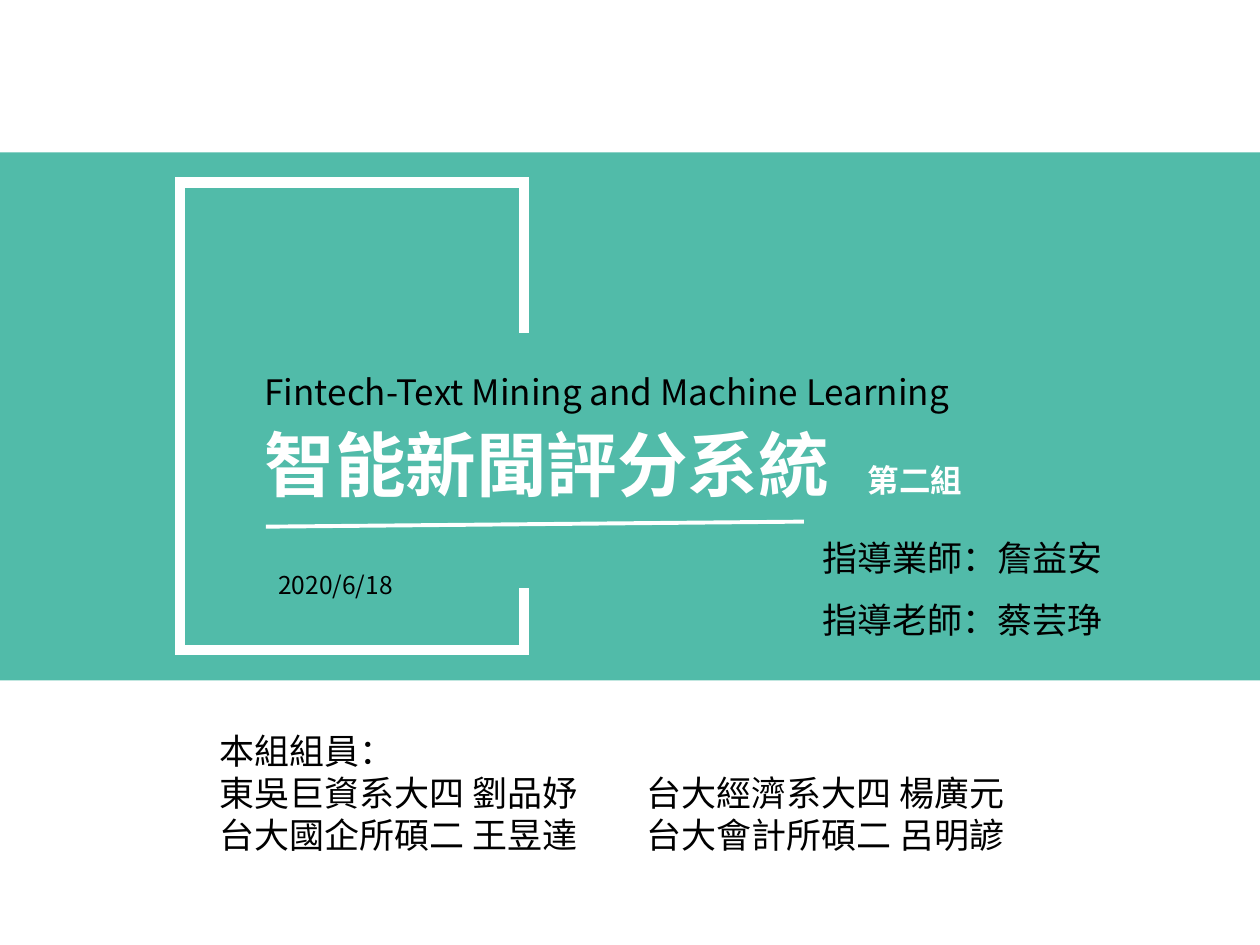
import pptx
import pptx.util
import pptx.dml.color
import pptx.enum.shapes
import pptx.enum.text
import pptx.oxml.ns
from lxml import etree

WIDTH, HEIGHT = 10, 7.5
TEAL, WHITE, BLACK = "51BBA9", "FFFFFF", "000000"
TC, SC = "Noto Sans CJK TC", "Noto Sans CJK SC"
TOP = pptx.enum.text.MSO_ANCHOR.TOP
MIDDLE = pptx.enum.text.MSO_ANCHOR.MIDDLE

BAND = (0, 1.21, WIDTH, 4.19)
BRACKET = [(4.16, 2.64), (4.16, 1.45), (1.43, 1.45),
           (1.43, 5.16), (4.16, 5.16), (4.16, 4.67)]
UNDERLINE = (2.11, 4.18, 6.38, 4.14)

TITLE = [("Fintech-Text Mining and Machine Learning", 20, TC, BLACK, False),
         ("智能新聞評分系統", 40.3, SC, WHITE, True)]
MEMBERS = ["本組組員：", "東吳巨資系大四 劉品妤", "台大國企所碩二 王昱達"]
OTHER_MEMBERS = ["台大經濟系大四 楊廣元", "台大會計所碩二 呂明諺"]
ADVISERS = ["指導業師：詹益安", "指導老師：蔡芸琤"]
ADVISER_LEFT, ADVISER_TOP, ADVISER_STEP = 6.43, 4.21, 0.49


def inches(*values):
    return [pptx.util.Inches(value) for value in values]


def color(value):
    return pptx.dml.color.RGBColor.from_string(value)


def plain(lines, size=20, ink=BLACK, bold=False):
    return [(line, size, TC, ink, bold) for line in lines]


def write(box, place, lines, spacing=1.0, anchor=TOP, wrap=True):
    box.left, box.top, box.width, box.height = inches(*place)
    frame = box.text_frame
    frame.auto_size = pptx.enum.text.MSO_AUTO_SIZE.NONE
    frame.word_wrap = wrap
    frame.vertical_anchor = anchor
    for index, (text, size, font, ink, bold) in enumerate(lines):
        para = frame.add_paragraph() if index else frame.paragraphs[0]
        para.alignment = pptx.enum.text.PP_ALIGN.LEFT
        para.line_spacing = spacing
        para.space_before = para.space_after = pptx.util.Pt(0)
        span = para.add_run()
        span.text = text
        span.font.size = pptx.util.Pt(size)
        span.font.bold = bold
        span.font.color.rgb = color(ink)
        span.font.name = font
        east_asian = etree.SubElement(span.font._element, pptx.oxml.ns.qn("a:ea"))
        east_asian.set("typeface", font)


def add_text(page, place, lines, **options):
    write(page.shapes.add_textbox(*inches(*place)), place, lines, **options)


def stroke(shape, points):
    shape.line.color.rgb = color(WHITE)
    shape.line.width = pptx.util.Pt(points)


def add_band(page):
    band = page.shapes.add_shape(
        pptx.enum.shapes.MSO_SHAPE.RECTANGLE, *inches(*BAND))
    band.shadow.inherit = False
    band.fill.solid()
    band.fill.fore_color.rgb = color(TEAL)
    band.line.fill.background()
    page.shapes._spTree.insert(2, band._element)


def add_bracket(page):
    start, *corners = [inches(*point) for point in BRACKET]
    builder = page.shapes.build_freeform(*start)
    builder.add_line_segments(corners, close=False)
    bracket = builder.convert_to_shape()
    bracket.shadow.inherit = False
    bracket.fill.background()
    stroke(bracket, 6)
    miter = etree.SubElement(bracket.line._get_or_add_ln(), pptx.oxml.ns.qn("a:miter"))
    miter.set("lim", "800000")


def add_underline(page):
    underline = page.shapes.add_connector(
        pptx.enum.shapes.MSO_CONNECTOR.STRAIGHT, *inches(*UNDERLINE))
    stroke(underline, 2.25)
    etree.SubElement(underline._element.spPr, pptx.oxml.ns.qn("a:effectLst"))


def main():
    deck = pptx.Presentation()
    deck.slide_width, deck.slide_height = inches(WIDTH, HEIGHT)
    page = deck.slides.add_slide(deck.slide_layouts[0])
    add_band(page)
    write(page.shapes.title, (2, 2.86, 6.57, 1.17), TITLE, spacing=1.1)
    write(page.placeholders[1], (1.64, 5.74, 3.08, 1.11), plain(MEMBERS), wrap=False)
    add_underline(page)
    add_bracket(page)
    add_text(page, (2.11, 4.44, 2.25, 0.4), plain(["2020/6/18"], 14), anchor=MIDDLE)
    for row, adviser in enumerate(ADVISERS):
        place = (ADVISER_LEFT, ADVISER_TOP + row * ADVISER_STEP, 2.45, 0.44)
        add_text(page, place, plain([adviser]), wrap=False)
    add_text(page, (5.03, 6.07, 4.97, 0.77), plain(OTHER_MEMBERS))
    add_text(page, (6.79, 3.61, 1.01, 0.4), plain(["第二組"], 18, WHITE, True))
    deck.save("out.pptx")


if __name__ == "__main__":
    main()
